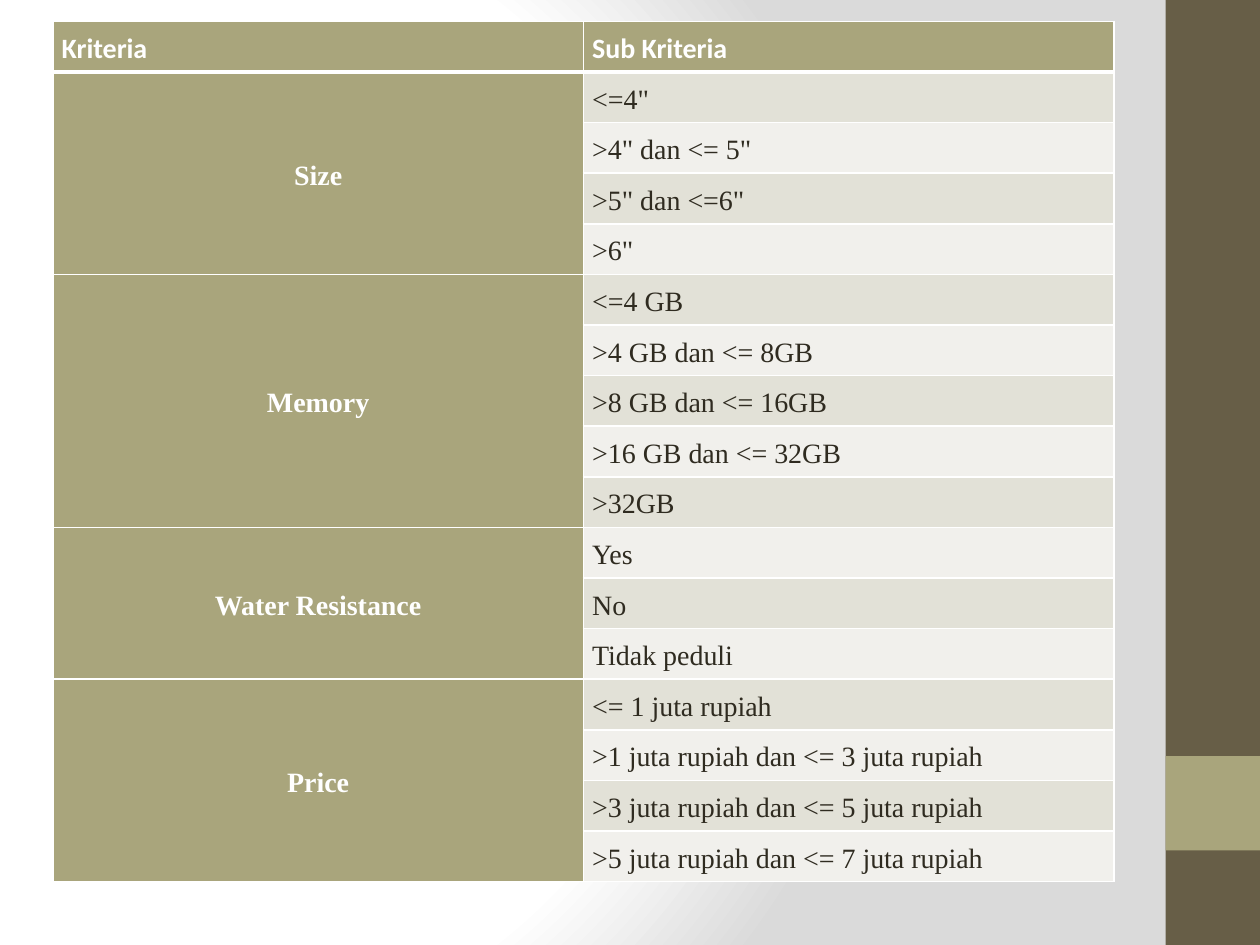
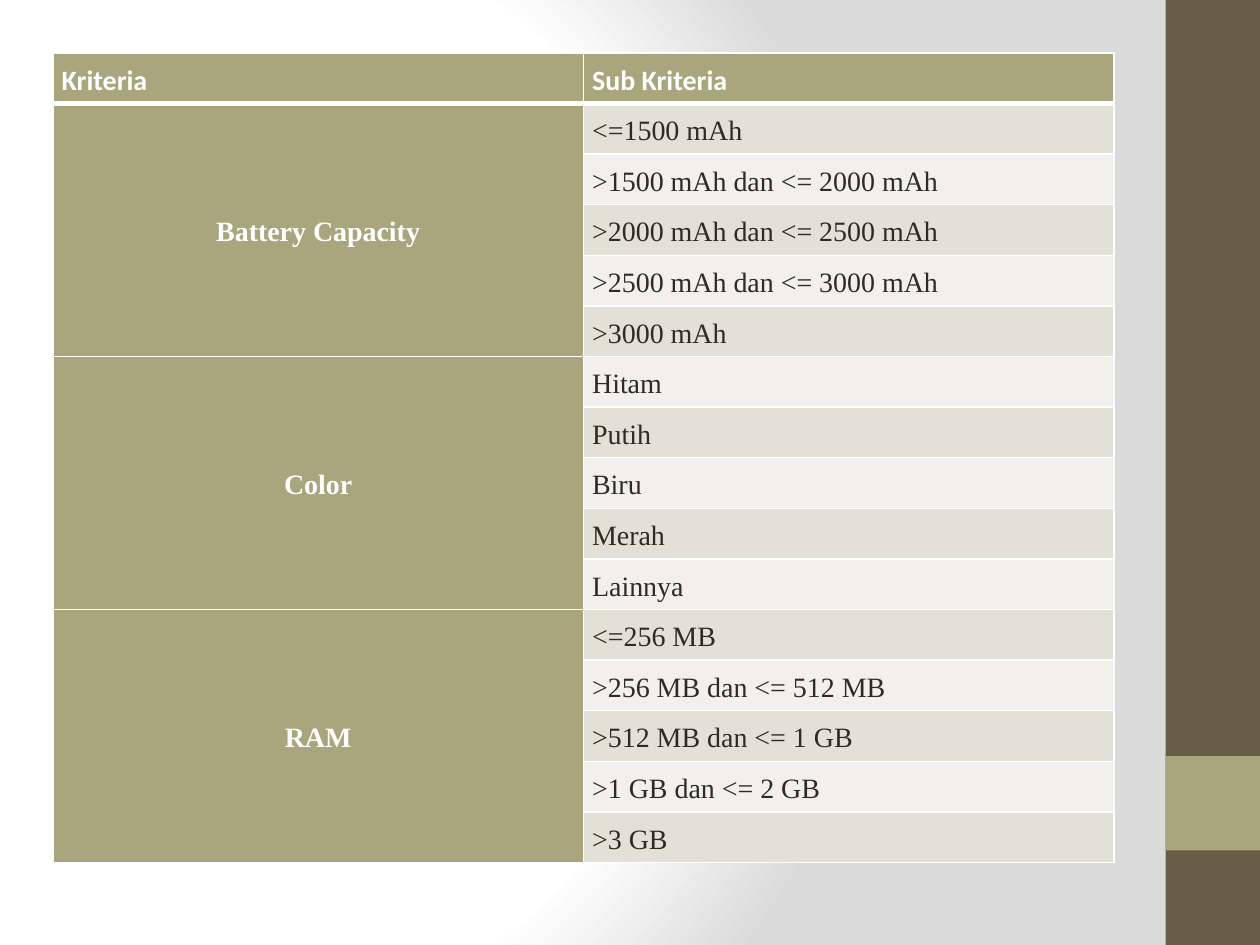
from lxml import etree
from pptx import Presentation
from pptx.dml.color import RGBColor
from pptx.enum import shapes, text
from pptx.oxml import parse_xml
from pptx.oxml.ns import nsdecls, qn
from pptx.util import Inches, Pt

COLORS = {
    "white": "FFFFFF",
    "grey": "DADADA",
    "brown": "675E47",
    "olive": "A9A57C",
    "ink": "2F2B20",
    "dark_row": "E2E1D7",
    "light_row": "F1F0EC",
}
HEADINGS = ["Kriteria", "Sub Kriteria"]
BODY_FONT = "Times New Roman"
HEADING_FONT = "Calibri"

PHONE_CRITERIA = {
    "Size": ['<=4"', '>4" dan <= 5"', '>5" dan <=6"', '>6"'],
    "Memory": ["<=4 GB", ">4 GB dan <= 8GB", ">8 GB dan <= 16GB",
               ">16 GB dan <= 32GB", ">32GB"],
    "Water Resistance": ["Yes", "No", "Tidak peduli"],
    "Price": ["<= 1 juta rupiah", ">1 juta rupiah dan <= 3 juta rupiah",
              ">3 juta rupiah dan <= 5 juta rupiah",
              ">5 juta rupiah dan <= 7 juta rupiah"],
}
HARDWARE_CRITERIA = {
    "Battery Capacity": ["<=1500 mAh", ">1500 mAh dan <= 2000 mAh",
                         ">2000 mAh dan <= 2500 mAh",
                         ">2500 mAh dan <= 3000 mAh", ">3000 mAh"],
    "Color": ["Hitam", "Putih", "Biru", "Merah", "Lainnya"],
    "RAM": ["<=256 MB", ">256 MB dan <= 512 MB", ">512 MB dan <= 1 GB",
            ">1 GB dan <= 2 GB", ">3 GB"],
}


def rgb(name):
    return RGBColor.from_string(COLORS[name])


def write_text(frame, words, font=BODY_FONT, size=16, color="ink",
               bold=False, align=text.PP_ALIGN.LEFT):
    para = frame.paragraphs[0]
    para.alignment = align
    para.line_spacing = 1.15
    span = para.add_run()
    span.text = words
    span.font.name = font
    span.font.size = Pt(size)
    span.font.bold = bold
    span.font.color.rgb = rgb(color)


def set_background(master):
    master.background.fill.gradient()
    gradient = master.element.find(".//" + qn("a:gradFill"))
    stops = "".join(
        f'<a:gs pos="{place * 1000}"><a:srgbClr val="{COLORS[color]}"/></a:gs>'
        for place, color in [(0, "white"), (75, "white"), (100, "grey")])
    gradient.getparent().replace(gradient, parse_xml(
        f'<a:gradFill {nsdecls("a")} rotWithShape="1"><a:gsLst>{stops}</a:gsLst>'
        '<a:path path="circle"><a:fillToRect l="20000" t="50000" r="100000" '
        'b="50000"/></a:path></a:gradFill>'))


def add_master_band(master, page, number, top, height, color):
    box = page.shapes.add_shape(shapes.MSO_SHAPE.RECTANGLE, Inches(9.25),
                                Inches(top), Inches(0.75), Inches(height))
    box.shadow.inherit = False
    box.fill.solid()
    box.fill.fore_color.rgb = rgb(color)
    box.line.fill.background()
    box.name = f"Side band {number}"
    box.element.nvSpPr.cNvPr.set("id", str(100 + number))
    master.shapes.element.append(box.element)


def set_borders(cell, top=1, bottom=1):
    properties = cell._tc.get_or_add_tcPr()
    widths = {"L": 1, "R": 1, "T": top, "B": bottom}
    for place, (side, width) in enumerate(widths.items()):
        line = etree.Element(qn(f"a:ln{side}"), w=str(Pt(width)))
        fill = etree.SubElement(line, qn("a:solidFill"))
        etree.SubElement(fill, qn("a:srgbClr"), val=COLORS["white"])
        properties.insert(place, line)


def format_cell(cell, fill, **borders):
    cell.fill.solid()
    cell.fill.fore_color.rgb = rgb(fill)
    cell.vertical_anchor = text.MSO_ANCHOR.MIDDLE
    cell.margin_left = cell.margin_right = Inches(0.07)
    cell.margin_top = cell.margin_bottom = 0
    set_borders(cell, **borders)


def add_criteria_table(page, criteria, top, height):
    count = 1 + sum(len(options) for options in criteria.values())
    table = page.shapes.add_table(count, 2, Inches(0.42), Inches(top),
                                  Inches(8.42), Inches(height)).table
    for column, heading in enumerate(HEADINGS):
        cell = table.cell(0, column)
        format_cell(cell, "olive", bottom=3)
        write_text(cell.text_frame, heading, font=HEADING_FONT,
                   color="white", bold=True)
    row = 1
    for criterion, options in criteria.items():
        first = table.cell(row, 0)
        for option in options:
            edge = 3 if row == 1 else 1
            format_cell(table.cell(row, 0), "olive", top=edge)
            cell = table.cell(row, 1)
            format_cell(cell, "dark_row" if row % 2 else "light_row", top=edge)
            write_text(cell.text_frame, option)
            row += 1
        first.merge(table.cell(row - 1, 0))
        write_text(first.text_frame, criterion, color="white", bold=True,
                   align=text.PP_ALIGN.CENTER)


def main():
    deck = Presentation()
    deck.slide_width, deck.slide_height = Inches(10), Inches(7.5)
    master = deck.slide_master
    blank = deck.slide_layouts[6]
    phone_page, hardware_page = [deck.slides.add_slide(blank) for _ in range(2)]
    set_background(master)
    add_master_band(master, phone_page, 1, 0, 7.5, "brown")
    add_master_band(master, phone_page, 2, 6, 0.75, "olive")
    add_criteria_table(phone_page, PHONE_CRITERIA, 0.17, 6.83)
    add_criteria_table(hardware_page, HARDWARE_CRITERIA, 0.42, 6.43)
    deck.save("out.pptx")


main()
